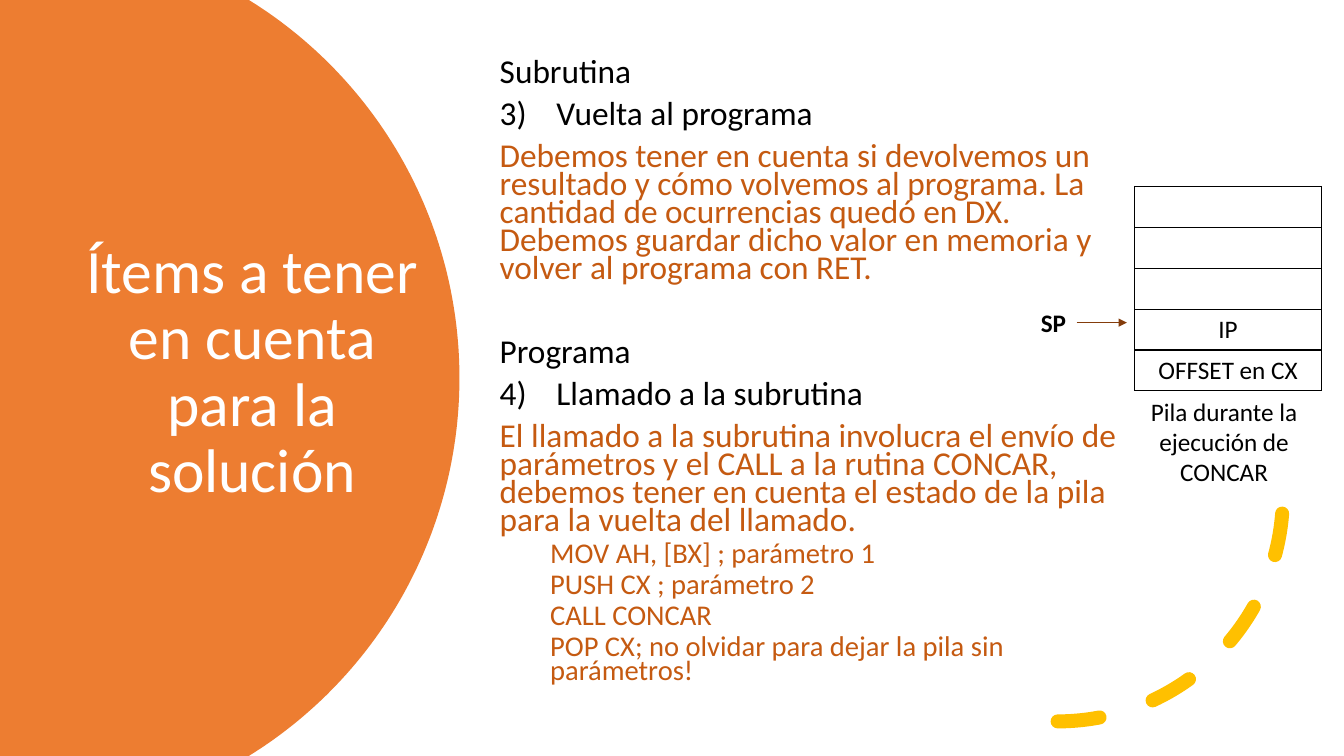
import math
from lxml import etree
from pptx import Presentation
from pptx.dml.color import RGBColor
from pptx.enum import dml, shapes, text
from pptx.oxml import ns
from pptx.util import Cm, Pt

# Content
TITLE = "Ítems a tener en cuenta para la solución"
STEPS = [  # part, number, step, explanation, code lines
    ("Subrutina", 3, "Vuelta al programa",
     "Debemos tener en cuenta si devolvemos un resultado y cómo volvemos al "
     "programa. La cantidad de ocurrencias quedó en DX. Debemos guardar dicho "
     "valor en memoria y volver al programa con RET.", []),
    ("Programa", 4, "Llamado a la subrutina",
     "El llamado a la subrutina involucra el envío de parámetros y el CALL a la "
     "rutina CONCAR, debemos tener en cuenta el estado de la pila para la vuelta "
     "del llamado.",
     ["MOV AH, [BX] ; parámetro 1", "PUSH CX ; parámetro 2", "CALL CONCAR",
      "POP CX; no olvidar para dejar la pila sin parámetros!"]),
]
STACK = ["", "", "", "IP", "OFFSET en CX"]
CAPTION = "Pila durante la ejecución de CONCAR"
POINTER = "SP"
BLACK, WHITE, ORANGE, RUST = "000000", "FFFFFF", "ED7D31", "C55A11"
BROWN, GOLD = "843C0B", "FFC000"
CENTER = text.PP_ALIGN.CENTER


def rgb(value):
    return RGBColor.from_string(value)


def place(part, left, top, width, height):
    part.left, part.top, part.width, part.height = map(Cm, (left, top, width, height))


def style(paragraph, size, color, align=None, bold=None):
    font = paragraph.font
    font.name, font.size, font.bold = "Calibri", Pt(size), bold
    font.color.rgb = rgb(color)
    paragraph.alignment = align


def sub(parent, tag, **attributes):
    return etree.SubElement(parent, ns.qn(tag), attributes)


deck = Presentation()
deck.slide_width, deck.slide_height = Cm(33.87), Cm(19.05)
slide = deck.slides.add_slide(deck.slide_layouts[1])
title, body = slide.placeholders

# Orange disc, cut by the left, top and bottom edges
CENTER_X, RADIUS, HALF = 0.38, 11.2, 9.525
edge = math.asin(HALF / RADIUS)
angles = [edge * (i / 60 - 1) for i in range(121)]
rim = [(Cm(CENTER_X + RADIUS * math.cos(a)), Cm(HALF + RADIUS * math.sin(a)))
       for a in angles]
builder = slide.shapes.build_freeform(0, 0)
builder.add_line_segments(rim + [(0, Cm(2 * HALF))], close=True)
disc = builder.convert_to_shape()
disc.shadow.inherit = False
disc.fill.solid()
disc.fill.fore_color.rgb = rgb(ORANGE)
disc.line.fill.background()
title._element.addprevious(disc._element)

# Title
place(title, 1.91, 3.2, 8.89, 12.4)
title.text_frame.text = TITLE
title.text_frame.auto_size = text.MSO_AUTO_SIZE.NONE
title.text_frame.vertical_anchor = text.MSO_ANCHOR.MIDDLE
style(title.text_frame.paragraphs[0], 44, WHITE, CENTER)
title.text_frame.paragraphs[0].line_spacing = 0.9

# Dashed arc behind the body
arc = slide.shapes.add_shape(shapes.MSO_SHAPE.ARC, Cm(20.98), Cm(6.83), Cm(11.35), Cm(11.35))
arc.shadow.inherit = False
arc.fill.background()
arc.line.color.rgb = rgb(GOLD)
arc.line.width = Pt(10)
arc.line.dash_style = dml.MSO_LINE.DASH
arc.line._get_or_add_ln().set("cap", "rnd")
arc._element.spPr.xfrm.set("flipV", "1")
body._element.addprevious(arc._element)

# Body
place(body, 12.34, 1.65, 16.71, 15.52)
frame = body.text_frame
frame.auto_size = text.MSO_AUTO_SIZE.NONE
frame.vertical_anchor = text.MSO_ANCHOR.MIDDLE
lines = []  # wording, colour, level, number, space before
for i, (part, number, step, explanation, code) in enumerate(STEPS):
    lines += [(part, BLACK, 0, None, 40 if i else 10),
              (step, BLACK, 0, number, 10),
              (explanation, RUST, 0, None, 10)]
    lines += [(line, RUST, 1, None, 5) for line in code]
for i, (wording, color, level, number, gap) in enumerate(lines):
    paragraph = frame.add_paragraph() if i else frame.paragraphs[0]
    paragraph.text, paragraph.level = wording, level
    paragraph.line_spacing, paragraph.space_before = 0.7, Pt(gap)
    paragraph.space_after = Pt(0)
    style(paragraph, 20.4 if level else 23.8, color, text.PP_ALIGN.LEFT)
    props = paragraph._p.get_or_add_pPr()
    hang = Cm(1.43) if number else 0
    props.set("marL", str(Cm(1.27) if level else hang))
    props.set("indent", str(-hang))
    if number:
        bullet = etree.Element(ns.qn("a:buAutoNum"), type="arabicParenR", startAt=str(number))
    else:
        bullet = etree.Element(ns.qn("a:buNone"))
    props.find(ns.qn("a:defRPr")).addprevious(bullet)

# Stack table
ROW = 1.03
stack = slide.shapes.add_table(len(STACK), 1, Cm(28.6), Cm(4.7), Cm(4.7),
                               Cm(ROW * len(STACK))).table
stack.first_row = stack.horz_banding = False
for row, wording in enumerate(STACK):
    stack.rows[row].height = Cm(ROW)
    cell = stack.cell(row, 0)
    cell.text = wording
    style(cell.text_frame.paragraphs[0], 18, BLACK, CENTER)
    props = cell._tc.get_or_add_tcPr()
    for side in ("a:lnL", "a:lnR", "a:lnT", "a:lnB"):
        border = sub(props, side, w=str(Pt(1)))
        sub(sub(border, "a:solidFill"), "a:srgbClr", val=BLACK)
    cell.fill.background()

# Caption and stack pointer label
for wording, spot, align, bold in [
        (CAPTION, (28.4, 9.86, 4.9, 2.57), CENTER, None),
        (POINTER, (25.98, 7.62, 1.75, 1.02), None, True)]:
    label = slide.shapes.add_textbox(*map(Cm, spot))
    label.text_frame.word_wrap = True
    label.text_frame.text = wording
    style(label.text_frame.paragraphs[0], 18, BLACK, align, bold)

# Stack pointer arrow
arrow = slide.shapes.add_connector(shapes.MSO_CONNECTOR.STRAIGHT,
                                   Cm(27.13), Cm(8.13), Cm(28.4), Cm(8.13))
arrow.line.color.rgb = rgb(BROWN)
arrow.line.width = Pt(0.5)
sub(arrow.line._get_or_add_ln(), "a:tailEnd", type="triangle")
sub(arrow._element.spPr, "a:effectLst")

deck.save("out.pptx")
